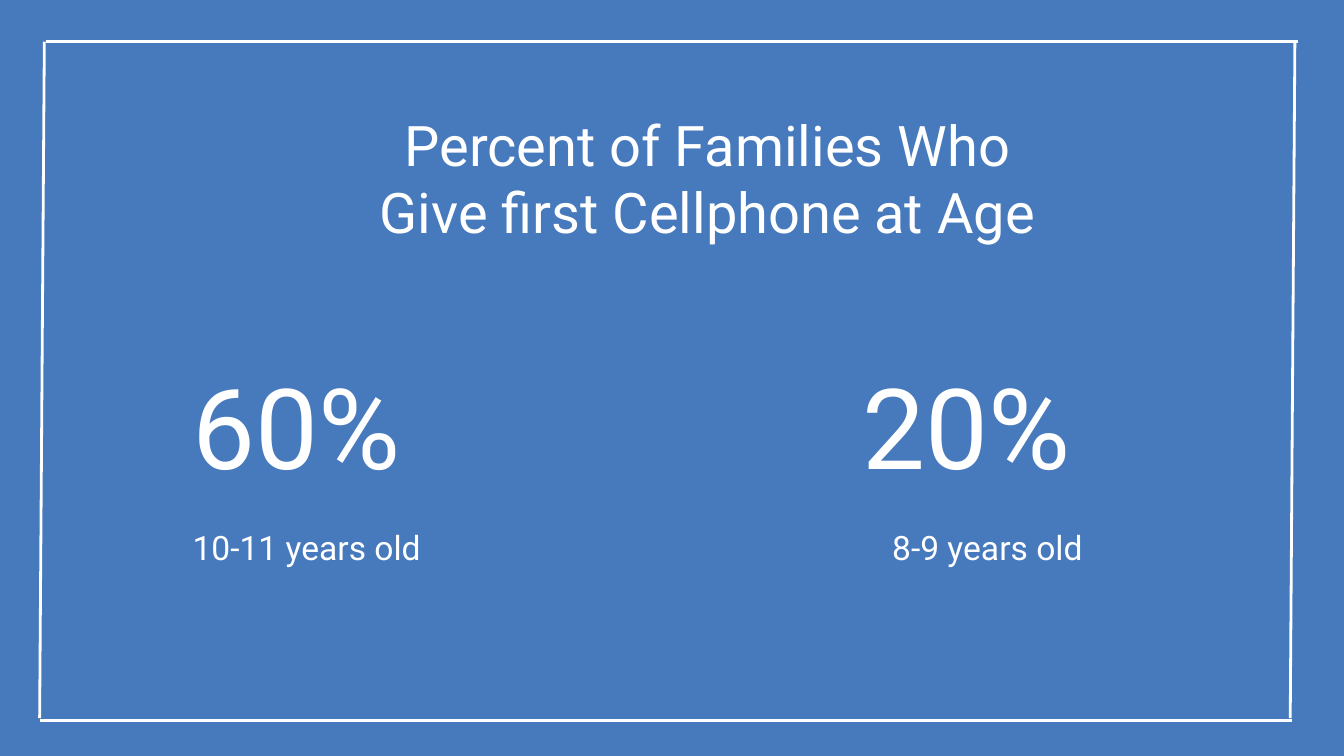
import pptx
import pptx.util
import pptx.dml.color
import pptx.enum.shapes
import pptx.enum.text
import pptx.oxml.ns
import lxml.etree

HUES = {"back": "4779BD", "ink": "FFFFFF"}
FONT = "Roboto"

# Wide 16:9 slide
deck = pptx.Presentation()
deck.slide_width = pptx.util.Inches(10)
deck.slide_height = deck.slide_width * 9 // 16
slide = deck.slides.add_slide(deck.slide_layouts[6])

# One unit is a hundredth of the slide's width or height
col = deck.slide_width / 100
row = deck.slide_height / 100


def tint(name):
    return pptx.dml.color.RGBColor.from_string(HUES[name])


def write(text, left, top, wide, high, size, align):
    box = slide.shapes.add_textbox(
        round(left * col), round(top * row), round(wide * col), round(high * row))
    frame = box.text_frame
    frame.word_wrap = True
    frame.margin_left = frame.margin_right = pptx.util.Inches(0.1)
    frame.margin_top = frame.margin_bottom = pptx.util.Inches(0.1)
    frame.text = text
    para = frame.paragraphs[0]
    para.alignment = align
    font = para.runs[0].font
    font.name = FONT
    font.size = pptx.util.Pt(size)
    font.color.rgb = tint("ink")


# Background
slide.background.fill.solid()
slide.background.fill.fore_color.rgb = tint("back")

# Frame: left, right, bottom and top edges, slightly slanted
edges = [
    (3.3, 5.5, 2.95, 95),
    (96.35, 5.5, 96, 95),
    (3, 95.3, 96.1, 95.3),
    (3.4, 5.5, 96.6, 5.5),
]
for x1, y1, x2, y2 in edges:
    edge = slide.shapes.add_connector(
        pptx.enum.shapes.MSO_CONNECTOR.STRAIGHT,
        round(x1 * col), round(y1 * row), round(x2 * col), round(y2 * row))
    edge.line.color.rgb = tint("ink")
    edge.line.width = pptx.util.Pt(1.5)
    lxml.etree.SubElement(
        edge._element.spPr, pptx.oxml.ns.qn("a:effectLst"))

# Title
ALIGN = pptx.enum.text.PP_ALIGN
write("Percent of Families Who Give first Cellphone at Age",
      26.1, 12.8, 53.1, 20.3, 30, ALIGN.CENTER)

# Figures, each with its age group below
stats = [
    ("60%", 13.35, "10-11 years old", 13.35, 19.6),
    ("20%", 63.2, "8-9 years old", 65.4, 17.3),
]
for share, left, ages, start, wide in stats:
    write(share, left, 45.5, 21.6, 22.4, 60, ALIGN.LEFT)
    write(ages, start, 67.9, wide, 7.5, 18, ALIGN.LEFT)

deck.save("out.pptx")
